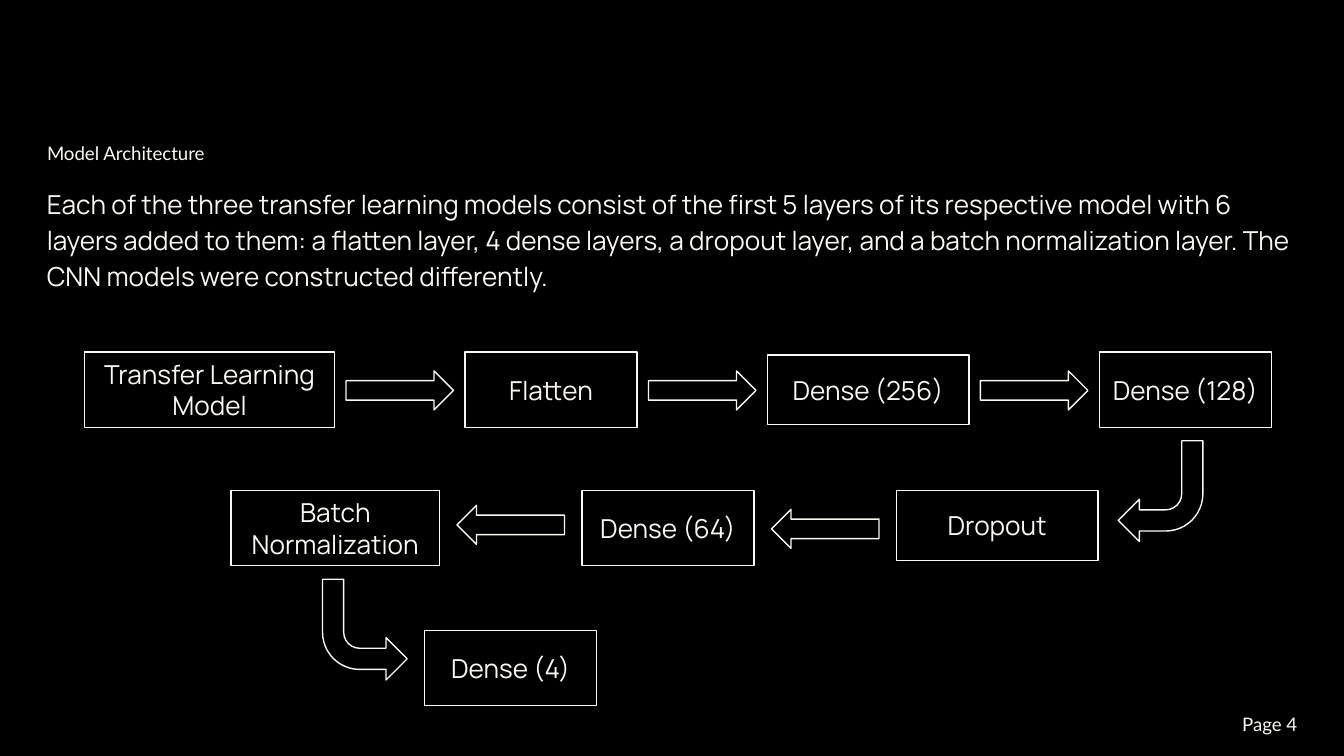
from pptx import Presentation
from pptx.dml.color import RGBColor
from pptx.enum.shapes import MSO_SHAPE
from pptx.enum.text import MSO_ANCHOR, MSO_AUTO_SIZE, PP_ALIGN
from pptx.util import Inches, Pt

RECTANGLE = MSO_SHAPE.RECTANGLE
RIGHT_ARROW, BENT_ARROW = MSO_SHAPE.RIGHT_ARROW, MSO_SHAPE.BENT_ARROW
LEFT, CENTER, RIGHT = PP_ALIGN.LEFT, PP_ALIGN.CENTER, PP_ALIGN.RIGHT
MIDDLE, BOTTOM = MSO_ANCHOR.MIDDLE, MSO_ANCHOR.BOTTOM

WIDTH = 10
HEIGHT = WIDTH * 9 / 16
MARGIN = 0.25
BLACK, CREAM = "000000", "FBF8F4"
HEADING_FONT, BODY_FONT = "Lato", "Manrope"

HEADING = "Model Architecture"
SUMMARY = (
    "Each of the three transfer learning models consist of the first 5 layers of its "
    "respective model with 6 layers added to them: a flatten layer, 4 dense layers, a "
    "dropout layer, and a batch normalization layer. The CNN models were constructed "
    "differently."
)
PAGE = "Page 4"

# Boxes run left to right as (text, width, height, top);
# one arrow top for each gap between neighbours.
ROWS = [
    {"left": 0.63, "gap": 0.97, "rotation": 0, "arrow_tops": [2.76, 2.76, 2.76],
     "boxes": [("Transfer Learning Model", 1.86, 0.56, 2.62),
               ("Flatten", 1.28, 0.56, 2.62),
               ("Dense (256)", 1.5, 0.52, 2.64),
               ("Dense (128)", 1.28, 0.56, 2.62)]},
    {"left": 1.72, "gap": 1.06, "rotation": 180, "arrow_tops": [3.76, 3.79],
     "boxes": [("Batch Normalization", 1.55, 0.56, 3.65),
               ("Dense (64)", 1.28, 0.56, 3.65),
               ("Dropout", 1.5, 0.52, 3.65)]},
    {"left": 3.16, "gap": 0, "rotation": 0, "arrow_tops": [],
     "boxes": [("Dense (4)", 1.28, 0.56, 4.69)]},
]
ARROW_WIDTH, ARROW_HEIGHT = 0.8, 0.29
TURNS = [(8.32, 3.28, False), (2.4, 4.31, True)]  # left, top, mirrored
TURN_WIDTH, TURN_HEIGHT = 0.63, 0.75


def color(value):
    return RGBColor.from_string(value)


def write(shape, text, size, font, alignment, anchor, spacing=1.0):
    frame = shape.text_frame
    frame.word_wrap = True
    frame.auto_size = MSO_AUTO_SIZE.NONE
    frame.vertical_anchor = anchor
    frame.margin_left = frame.margin_right = Inches(0.1)
    frame.margin_top = frame.margin_bottom = Inches(0.1)
    frame.text = text
    paragraph = frame.paragraphs[0]
    paragraph.alignment = alignment
    paragraph.line_spacing = spacing
    paragraph.font.size = Pt(size)
    paragraph.font.name = font
    paragraph.font.color.rgb = color(CREAM)


def add_outlined(slide, kind, left, top, width, height):
    shape = slide.shapes.add_shape(
        kind, Inches(left), Inches(top), Inches(width), Inches(height))
    shape.shadow.inherit = False
    shape.fill.solid()
    shape.fill.fore_color.rgb = color(BLACK)
    shape.line.color.rgb = color(CREAM)
    shape.line.width = Pt(0.75)
    return shape


def add_text_box(slide, left, top, width, height):
    return slide.shapes.add_textbox(
        Inches(left), Inches(top), Inches(width), Inches(height))


def add_row(slide, row):
    left, gap = row["left"], row["gap"]
    for index, (text, width, height, top) in enumerate(row["boxes"]):
        box = add_outlined(slide, RECTANGLE, left, top, width, height)
        write(box, text, 14, BODY_FONT, CENTER, MIDDLE)
        left += width
        if index < len(row["arrow_tops"]):
            arrow = add_outlined(slide, RIGHT_ARROW, left + (gap - ARROW_WIDTH) / 2,
                                 row["arrow_tops"][index], ARROW_WIDTH, ARROW_HEIGHT)
            arrow.rotation = row["rotation"]
        left += gap


def add_turn(slide, left, top, mirrored):
    turn = add_outlined(slide, BENT_ARROW, left, top, TURN_WIDTH, TURN_HEIGHT)
    turn.rotation = 180
    for index, value in enumerate((0.25, 0.25, 0.25, 0.44)):
        turn.adjustments[index] = value
    if mirrored:
        turn.element.spPr.xfrm.set("flipH", "1")


def main():
    presentation = Presentation()
    presentation.slide_width = Inches(WIDTH)
    presentation.slide_height = Inches(HEIGHT)
    slide = presentation.slides.add_slide(presentation.slide_layouts[5])
    slide.background.fill.solid()
    slide.background.fill.fore_color.rgb = color(BLACK)

    title = slide.shapes.title
    title.left, title.top = Inches(MARGIN), Inches(0.24)
    title.width, title.height = Inches(4.78), Inches(1.08)
    write(title, HEADING, 10, HEADING_FONT, LEFT, BOTTOM, 0.8)

    summary = add_text_box(slide, MARGIN, 1.53, WIDTH - 2 * MARGIN, 0.48)
    write(summary, SUMMARY, 14, BODY_FONT, LEFT, MIDDLE, 1.15)

    for row in ROWS:
        add_row(slide, row)
    for left, top, mirrored in TURNS:
        add_turn(slide, left, top, mirrored)

    page = add_text_box(slide, 6.47, 5.15, 3.28, 0.48)
    write(page, PAGE, 10, HEADING_FONT, RIGHT, MIDDLE)
    presentation.save("out.pptx")


if __name__ == "__main__":
    main()
